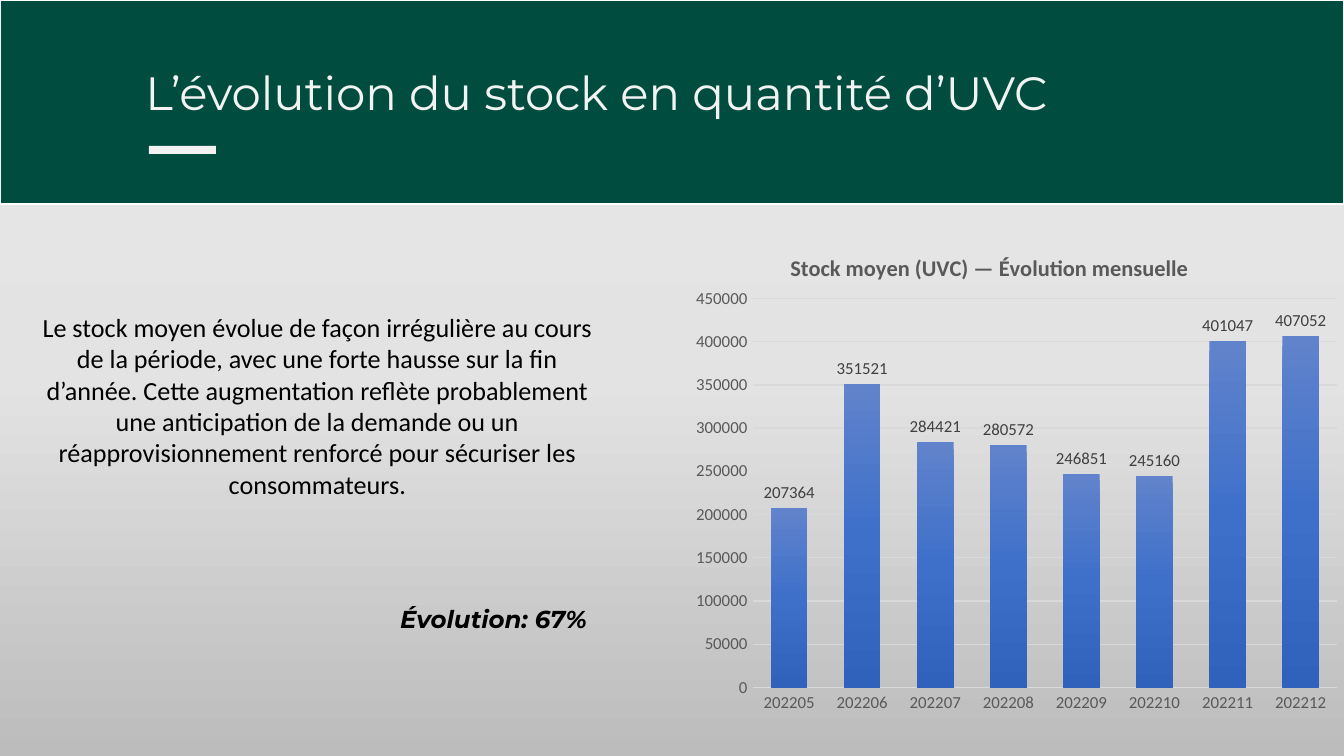
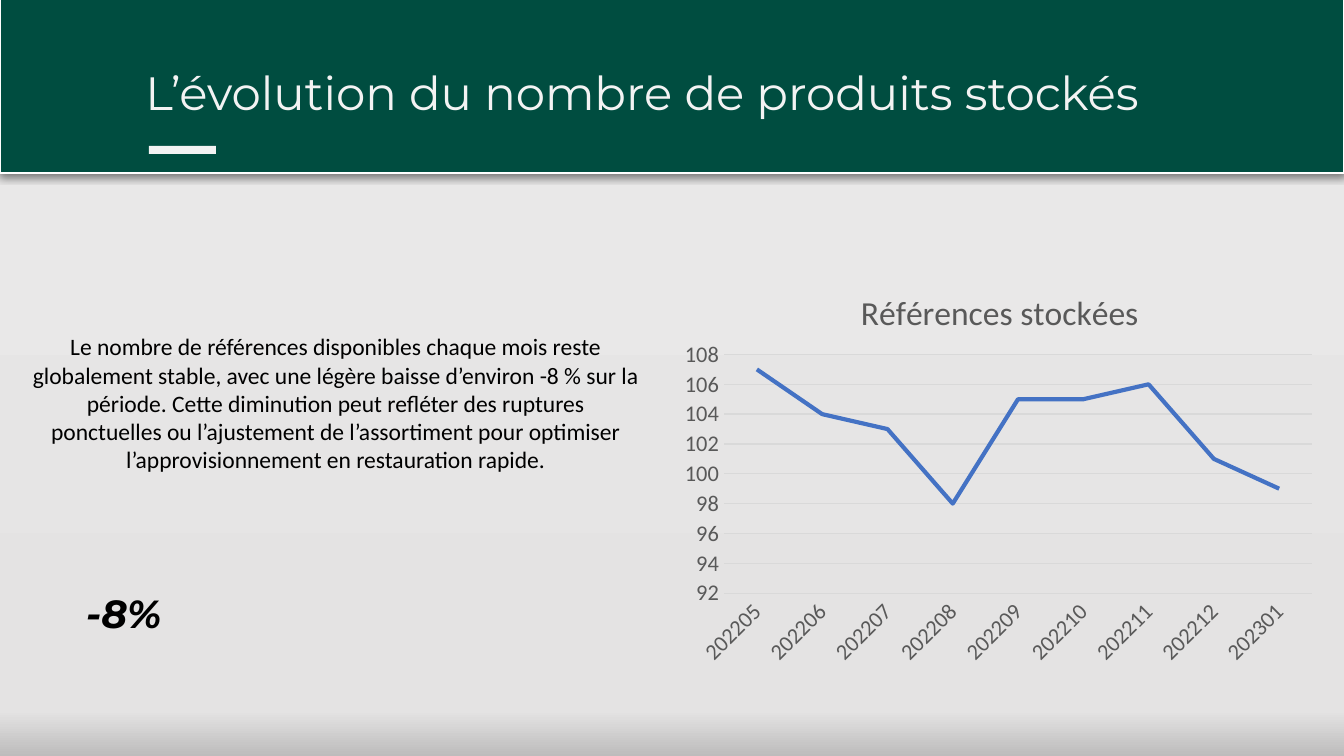
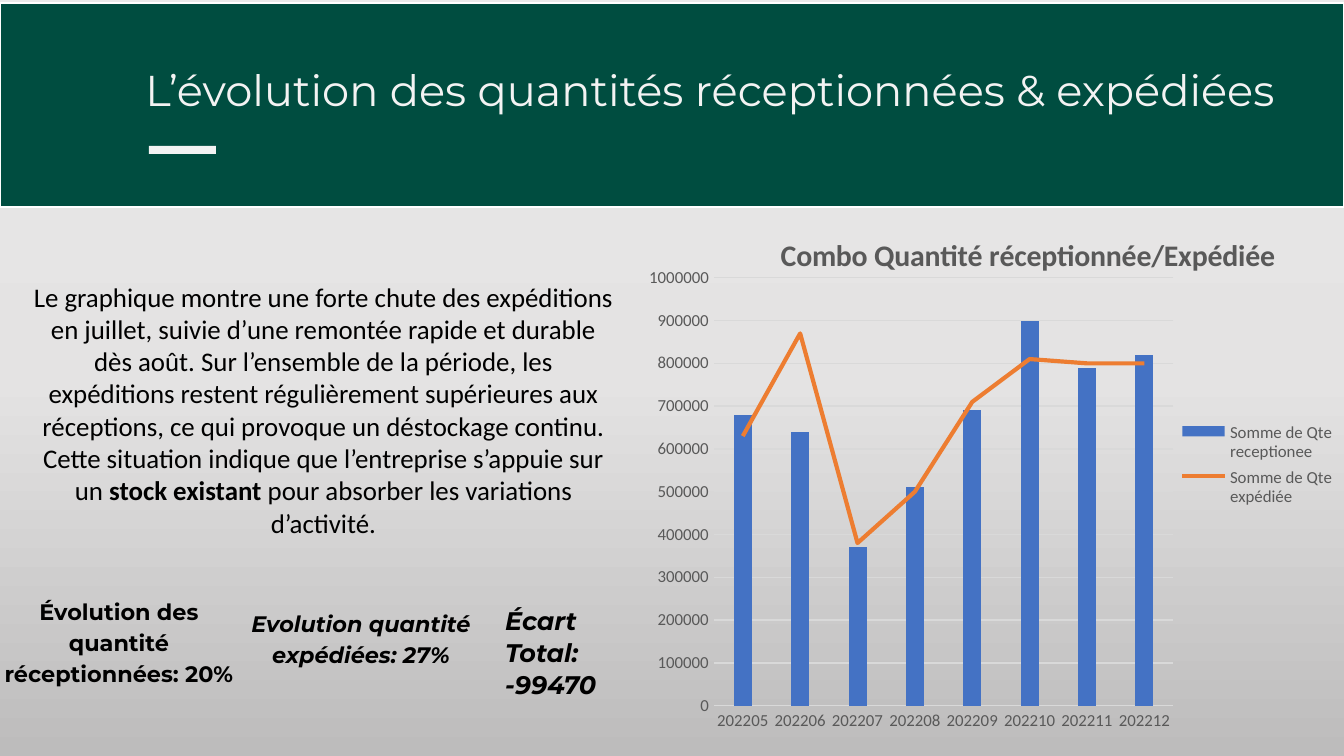
from lxml import etree
from pptx import Presentation
from pptx import util as u
from pptx.chart import data as chart_data
from pptx.dml import color
from pptx.enum import chart as ch, shapes, text
from pptx.oxml import ns, parse_xml

COLORS = {
    "green": "004D40", "white": "FFFFFF", "offwhite": "F3F3F3", "black": "000000",
    "grey": "595959", "label": "404040", "grid": "D9D9D9",
    "blue": "4472C4", "orange": "ED7D31",
    "bg_top": "EBEAEA", "bg_mid": "E4E3E3", "bg_bottom": "BDBCBC",
    "bar_top": "6183CB", "bar_mid": "3E70CA", "bar_bottom": "3062BB",
}
SCALE = 914400 / 134.4
HEADING_BOX = (132, 50, 1212, 85)
DASH_BOX = (149, 146, 67, 8)
LEFT, CENTER = text.PP_ALIGN.LEFT, text.PP_ALIGN.CENTER
MONTHS = ["202205", "202206", "202207", "202208", "202209", "202210", "202211", "202212"]

SLIDES = [
    {
        "heading": "L’évolution du stock en quantité d’UVC", "heading_size": 25,
        "band_top": 0, "shadow": False, "bg_middle": 50,
        "comment": ["Le stock moyen évolue de façon irrégulière au cours de la période, avec une forte hausse "
                    "sur la fin d’année. Cette augmentation reflète probablement une anticipation de la demande "
                    "ou un réapprovisionnement renforcé pour sécuriser les consommateurs."],
        "comment_box": (28, 309, 579, 204), "comment_size": 14,
        "figures": [
            {"lines": ["Évolution: 67%"], "box": (387, 593, 235, 78), "size": 13.1,
             "spacing": 0.95, "align": LEFT, "italic": True},
        ],
        "chart": {
            "title": "Stock moyen (UVC) — Évolution mensuelle", "title_size": 12, "title_bold": True,
            "title_at": (0.17, 0.08), "box": (672, 204, 672, 556), "plot": (0.12, 0.17, 0.87, 0.7),
            "type": ch.XL_CHART_TYPE.COLUMN_CLUSTERED, "gap": 100, "overlap": -24,
            "months": MONTHS, "axis_size": 9, "scale": (0, 450000, 50000),
            "series": [("Stock moyen (UVC)", "gradient",
                        [207364, 351521, 284421, 280572, 246851, 245160, 401047, 407052])],
            "labels": True,
        },
    },
    {
        "heading": "L’évolution du nombre de produits stockés", "heading_size": 25,
        "band_top": -31, "shadow": True, "bg_middle": 94,
        "comment": ["Le nombre de références disponibles chaque mois reste globalement stable, avec une légère "
                    "baisse d’environ -8 % sur la période. Cette diminution peut refléter des ruptures "
                    "ponctuelles ou l’ajustement de l’assortiment pour optimiser l’approvisionnement en "
                    "restauration rapide."],
        "comment_box": (19, 315, 633, 172), "comment_size": 12.6,
        "figures": [
            {"lines": ["-8%"], "box": (73, 574, 113, 79), "size": 21,
             "spacing": 1.05, "align": LEFT, "italic": True},
        ],
        "chart": {
            "title": "Références stockées", "title_size": 18, "title_bold": False,
            "title_at": (0.28, 0.07), "box": (672, 254, 653, 419), "plot": (0.08, 0.24, 0.9, 0.57),
            "type": ch.XL_CHART_TYPE.LINE,
            "months": MONTHS + ["202301"], "axis_size": 12, "scale": (92, 108, 2), "slanted": True,
            "series": [("Références stockées", "blue", [107, 104, 103, 98, 105, 105, 106, 101, 99])],
        },
    },
    {
        "heading": "L’évolution des quantités réceptionnées & expédiées", "heading_size": 23.1,
        "band_top": 3, "shadow": False, "bg_middle": 50,
        "comment": ["Le graphique montre une forte chute des expéditions en juillet, suivie d’une remontée rapide "
                    "et durable dès août. Sur l’ensemble de la période, les expéditions restent régulièrement "
                    "supérieures aux réceptions, ce qui provoque un déstockage continu.",
                    "Cette situation indique que l’entreprise s’appuie sur un **stock existant **pour absorber "
                    "les variations d’activité."],
        "comment_box": (19, 278, 609, 274), "comment_size": 14.4,
        "figures": [
            {"lines": ["Évolution des quantité réceptionnées: 20%"], "box": (-12, 581, 262, 173), "size": 12,
             "spacing": 1.15, "align": CENTER, "italic": False},
            {"lines": ["Écart Total:", "-99470"], "box": (492, 590, 155, 105), "size": 13.6,
             "spacing": 1.05, "align": LEFT, "italic": True},
            {"lines": ["Evolution quantité expédiées: 27%"], "box": (230, 593, 262, 163), "size": 12,
             "spacing": 1.15, "align": CENTER, "italic": True},
        ],
        "chart": {
            "title": "Combo Quantité réceptionnée/Expédiée", "title_size": 16, "title_bold": True,
            "title_at": (0.22, 0.02), "box": (607, 219, 765, 535), "plot": (0.14, 0.11, 0.6, 0.8),
            "type": ch.XL_CHART_TYPE.COLUMN_CLUSTERED, "gap": 219, "overlap": -27,
            "months": MONTHS, "axis_size": 9, "scale": (0, 1000000, 100000),
            "series": [
                ("Somme de Qte receptionee", "blue",
                 [680000, 640000, 370000, 510000, 690000, 900000, 790000, 820000]),
                ("Somme de Qte expédiée", "orange",
                 [630000, 870000, 380000, 500000, 710000, 810000, 800000, 800000]),
            ],
            "combo": True, "legend": (0.74, 0.37, 0.22, 0.18),
        },
    },
]


def rgb(name):
    return color.RGBColor.from_string(COLORS[name])


def emu(box):
    return [round(px * SCALE) for px in box]


def style(font, family, size, tint, bold=False, italic=False):
    font.name, font.size, font.bold, font.italic = family, u.Pt(size), bold, italic
    font.color.rgb = rgb(tint)


def paint_gradient(fill, owner, stops):
    fill.gradient()
    gradient = owner.find(".//" + ns.qn("a:gradFill"))
    stop_list = gradient.find(ns.qn("a:gsLst"))
    for stop in list(stop_list):
        stop_list.remove(stop)
    for position, name in stops:
        stop = etree.SubElement(stop_list, ns.qn("a:gs"), pos=str(position * 1000))
        etree.SubElement(stop, ns.qn("a:srgbClr"), val=COLORS[name])
    gradient.find(ns.qn("a:lin")).set("ang", "5400000")


def write(shape, lines, box, family, size, tint, align, anchor, spacing=1.0, bold=False, italic=False):
    shape.left, shape.top, shape.width, shape.height = emu(box)
    frame = shape.text_frame
    frame.word_wrap = True
    frame.auto_size = text.MSO_AUTO_SIZE.NONE
    frame.vertical_anchor = anchor
    frame.margin_left = frame.margin_right = frame.margin_top = frame.margin_bottom = u.Inches(0.1)
    for number, line in enumerate(lines):
        paragraph = frame.add_paragraph() if number else frame.paragraphs[0]
        properties = paragraph._p.get_or_add_pPr()
        properties.set("marL", "0")
        properties.set("indent", "0")
        etree.SubElement(properties, ns.qn("a:buNone"))
        paragraph.alignment, paragraph.line_spacing = align, spacing
        paragraph.space_before = u.Pt(0)
        style(paragraph.font, family, size, tint, bold, italic)
        for part, words in enumerate(line.split("**")):
            run = paragraph.add_run()
            run.text = words
            if part % 2:
                run.font.bold = True


def add_block(slide, box, tint):
    block = slide.shapes.add_shape(shapes.MSO_SHAPE.RECTANGLE, *emu(box))
    block.shadow.inherit = False
    block.fill.solid()
    block.fill.fore_color.rgb = rgb(tint)
    block.line.fill.background()
    return block


def add_band(slide, top, shadow):
    band = add_block(slide, (0, top, 1344, 204), "green")
    band.line.color.rgb = rgb("white")
    band.line.width = u.Pt(0.75)
    if shadow:
        effects = band._element.spPr.find(ns.qn("a:effectLst"))
        outer = etree.SubElement(effects, ns.qn("a:outerShdw"), blurRad=str(u.Pt(4.5)),
                                 dist=str(u.Pt(1.5)), dir="5400000", algn="t", rotWithShape="0")
        tint = etree.SubElement(outer, ns.qn("a:srgbClr"), val=COLORS["black"])
        etree.SubElement(tint, ns.qn("a:alpha"), val="49000")
    slide.shapes._spTree.insert(2, band._element)


def place(part, index, fractions, inner=False):
    for old in part.findall(ns.qn("c:layout")):
        part.remove(old)
    layout = etree.Element(ns.qn("c:layout"))
    manual = etree.SubElement(layout, ns.qn("c:manualLayout"))
    modes = ([("layoutTarget", "inner")] if inner else []) + [("xMode", "edge"), ("yMode", "edge")]
    for tag, value in modes + list(zip("xywh", fractions)):
        etree.SubElement(manual, ns.qn("c:" + tag), val=str(value))
    part.insert(index, layout)


def last_bars_to_line(chart):
    bars = chart.plots[0]._element
    moved = bars.findall(ns.qn("c:ser"))[-1]
    invert = moved.find(ns.qn("c:invertIfNegative"))
    if invert is not None:
        moved.remove(invert)
    line = parse_xml(f'<c:lineChart {ns.nsdecls("c")}><c:grouping val="standard"/>'
                     '<c:varyColors val="0"/><c:marker val="1"/></c:lineChart>')
    line.insert(2, moved)
    for axis in bars.findall(ns.qn("c:axId")):
        etree.SubElement(line, ns.qn("c:axId"), val=axis.get("val"))
    bars.addnext(line)


def style_axes(chart, content):
    months, values = chart.category_axis, chart.value_axis
    for axis in (months, values):
        axis.major_tick_mark = axis.minor_tick_mark = ch.XL_TICK_MARK.NONE
        style(axis.tick_labels.font, "Calibri", content["axis_size"], "grey")
    months.format.line.color.rgb = rgb("grid")
    months.format.line.width = u.Pt(0.75)
    months.has_major_gridlines = False
    if content.get("slanted"):
        months._element.find(ns.qn("c:txPr")).find(ns.qn("a:bodyPr")).set("rot", "-2700000")
    values.format.line.fill.background()
    values.has_major_gridlines = True
    values.major_gridlines.format.line.color.rgb = rgb("grid")
    values.major_gridlines.format.line.width = u.Pt(0.75)
    values.minimum_scale, values.maximum_scale, values.major_unit = content["scale"]


def style_series(series, tint, is_line):
    if is_line:
        series.smooth = False
        series.marker.style = ch.XL_MARKER_STYLE.NONE
        series.format.line.color.rgb = rgb(tint)
        series.format.line.width = u.Pt(2.25)
    elif tint == "gradient":
        paint_gradient(series.format.fill, series._element,
                       [(0, "bar_top"), (50, "bar_mid"), (100, "bar_bottom")])
    else:
        series.format.fill.solid()
        series.format.fill.fore_color.rgb = rgb(tint)


def add_chart(slide, content):
    figures = chart_data.CategoryChartData()
    figures.categories = content["months"]
    for name, _, values in content["series"]:
        figures.add_series(name, values)
    chart = slide.shapes.add_chart(content["type"], *emu(content["box"]), figures).chart
    style(chart.font, "Calibri", 10, "black")

    chart.has_title = True
    title = chart.chart_title
    title.text_frame.text = content["title"]
    style(title.text_frame.paragraphs[0].font, "Calibri", content["title_size"], "grey", content["title_bold"])
    title.include_in_layout = False
    place(title._element, 1, content["title_at"])

    style_axes(chart, content)
    if "gap" in content:
        chart.plots[0].gap_width, chart.plots[0].overlap = content["gap"], content["overlap"]
    if content.get("combo"):
        last_bars_to_line(chart)
    tints = iter(tint for _, tint, _ in content["series"])
    for plot in chart.plots:
        plot.vary_by_categories = False
        for series in plot.series:
            style_series(series, next(tints), plot._element.tag == ns.qn("c:lineChart"))

    if content.get("labels"):
        chart.plots[0].has_data_labels = True
        labels = chart.plots[0].data_labels
        labels.show_value = True
        labels.position = ch.XL_LABEL_POSITION.OUTSIDE_END
        style(labels.font, "Calibri", 9, "label")

    chart.has_legend = "legend" in content
    if chart.has_legend:
        chart.legend.position = ch.XL_LEGEND_POSITION.RIGHT
        chart.legend.include_in_layout = False
        style(chart.legend.font, "Calibri", 9, "grey")
        place(chart.legend._element, 1, content["legend"])
    place(chart._chartSpace.find(".//" + ns.qn("c:plotArea")), 0, content["plot"], inner=True)


def build_slide(deck, content):
    slide = deck.slides.add_slide(deck.slide_layouts[1])
    paint_gradient(slide.background.fill, slide.element,
                   [(0, "bg_top"), (content["bg_middle"], "bg_mid"), (100, "bg_bottom")])
    add_band(slide, content["band_top"], content["shadow"])
    write(slide.shapes.title, [content["heading"]], HEADING_BOX, "Montserrat", content["heading_size"],
          "offwhite", LEFT, text.MSO_ANCHOR.TOP)
    add_block(slide, DASH_BOX, "offwhite")
    write(slide.placeholders[1], content["comment"], content["comment_box"], "Calibri",
          content["comment_size"], "black", CENTER, text.MSO_ANCHOR.BOTTOM)
    for figure in content["figures"]:
        box = slide.shapes.add_textbox(*emu(figure["box"]))
        write(box, figure["lines"], figure["box"], "Montserrat", figure["size"], "black", figure["align"],
              text.MSO_ANCHOR.TOP, figure["spacing"], bold=True, italic=figure["italic"])
    add_chart(slide, content["chart"])


def main():
    deck = Presentation()
    deck.slide_width, deck.slide_height = emu((1344, 756))
    for content in SLIDES:
        build_slide(deck, content)
    deck.save("out.pptx")


if __name__ == "__main__":
    main()
